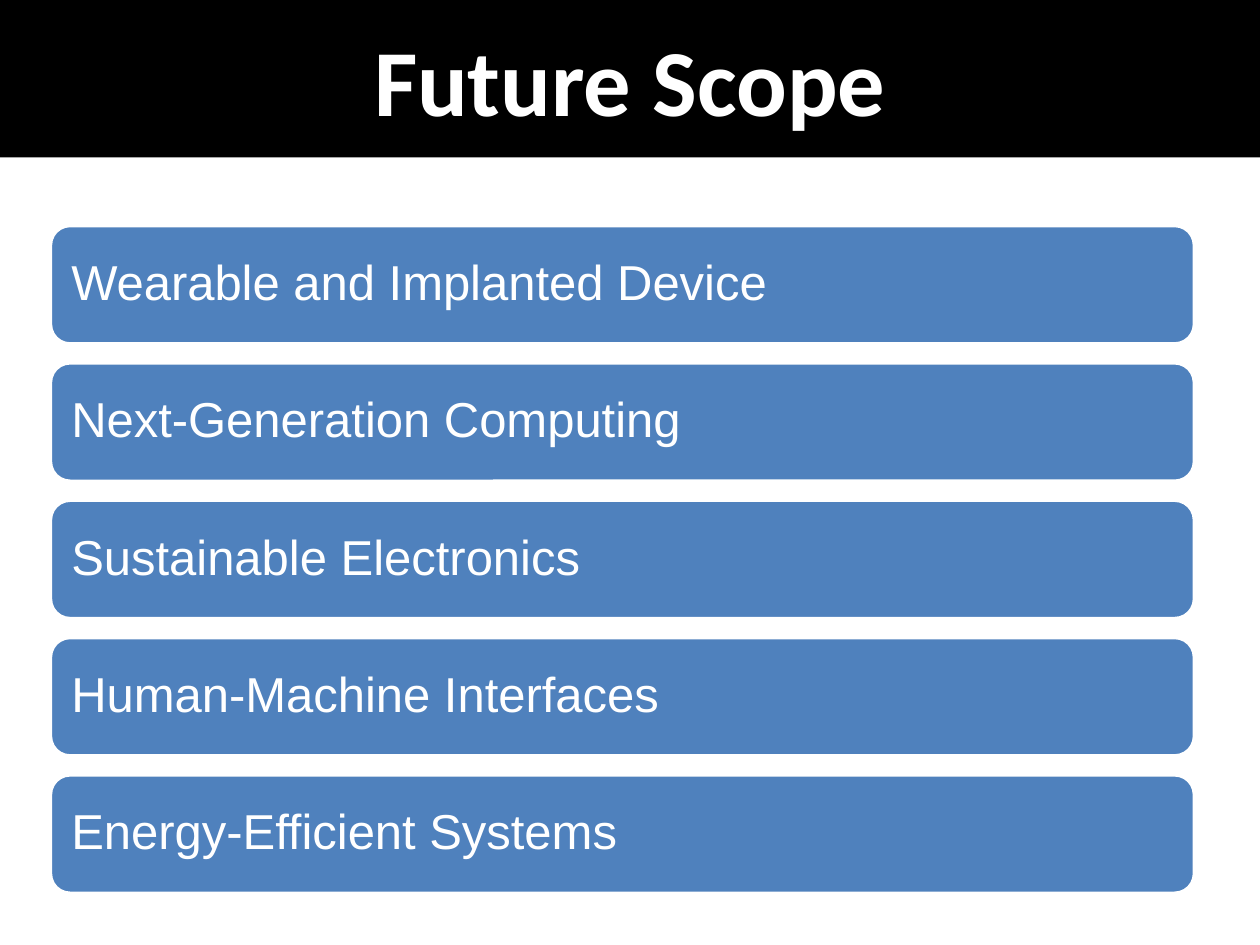
from dataclasses import dataclass

from pptx import Presentation
from pptx.dml.color import RGBColor as Color
from pptx.enum.shapes import MSO_SHAPE as Shape
from pptx.enum.text import MSO_ANCHOR as Anchor, PP_ALIGN as Align
from pptx.util import Inches, Pt


@dataclass(frozen=True)
class Theme:
    banner: Color = Color.from_string("000000")
    bar: Color = Color.from_string("4F81BD")
    light: Color = Color.from_string("FFFFFF")
    title_font: str = "Calibri"
    body_font: str = "Arial"
    title_size: int = 54
    body_size: int = 28


@dataclass(frozen=True)
class Rows:
    """A single column of equally spaced rows, in inches."""
    left: float = 0.4
    top: float = 1.79
    width: float = 9.08
    height: float = 0.94
    gap: float = 0.15

    def box(self, row):
        top = self.top + row * (self.height + self.gap)
        return self.left, top, self.width, self.height


class SlideBuilder:
    def __init__(self, slide, theme, rows):
        self.slide = slide
        self.theme = theme
        self.rows = rows

    def block(self, kind, box, fill, text, font_name, size, align):
        shape = self.slide.shapes.add_shape(kind, *map(Inches, box))
        shape.shadow.inherit = False
        shape.fill.solid()
        shape.fill.fore_color.rgb = fill
        shape.line.fill.background()
        frame = shape.text_frame
        frame.word_wrap = True
        frame.vertical_anchor = Anchor.MIDDLE
        paragraph = frame.paragraphs[0]
        paragraph.text = text
        paragraph.alignment = align
        font = paragraph.font
        font.name, font.size = font_name, Pt(size)
        font.color.rgb = self.theme.light
        return shape

    def banner(self, text, width, height):
        theme = self.theme
        shape = self.block(Shape.RECTANGLE, (0, 0, width, height), theme.banner,
                           text, theme.title_font, theme.title_size, Align.CENTER)
        shape.text_frame.paragraphs[0].font.bold = True

    def bar(self, row, text):
        theme = self.theme
        shape = self.block(Shape.ROUNDED_RECTANGLE, self.rows.box(row), theme.bar,
                           text, theme.body_font, theme.body_size, Align.LEFT)
        shape.line.color.rgb = theme.light
        shape.line.width = Pt(2)
        frame = shape.text_frame
        frame.margin_left = frame.margin_right = Inches(0.12)
        frame.margin_top = frame.margin_bottom = Inches(0.12)
        frame.paragraphs[0].line_spacing = 0.9


TOPICS = (
    "Wearable and Implanted Device",
    "Next-Generation Computing",
    "Sustainable Electronics",
    "Human-Machine Interfaces",
    "Energy-Efficient Systems",
)


def main():
    presentation = Presentation()
    presentation.slide_width, presentation.slide_height = Inches(10), Inches(7.5)
    slide = presentation.slides.add_slide(presentation.slide_layouts[6])
    builder = SlideBuilder(slide, Theme(), Rows())

    # Title banner
    builder.banner("Future Scope", width=10, height=1.25)

    # Topic bars
    for row, topic in enumerate(TOPICS):
        builder.bar(row, topic)

    presentation.save("out.pptx")


if __name__ == "__main__":
    main()
